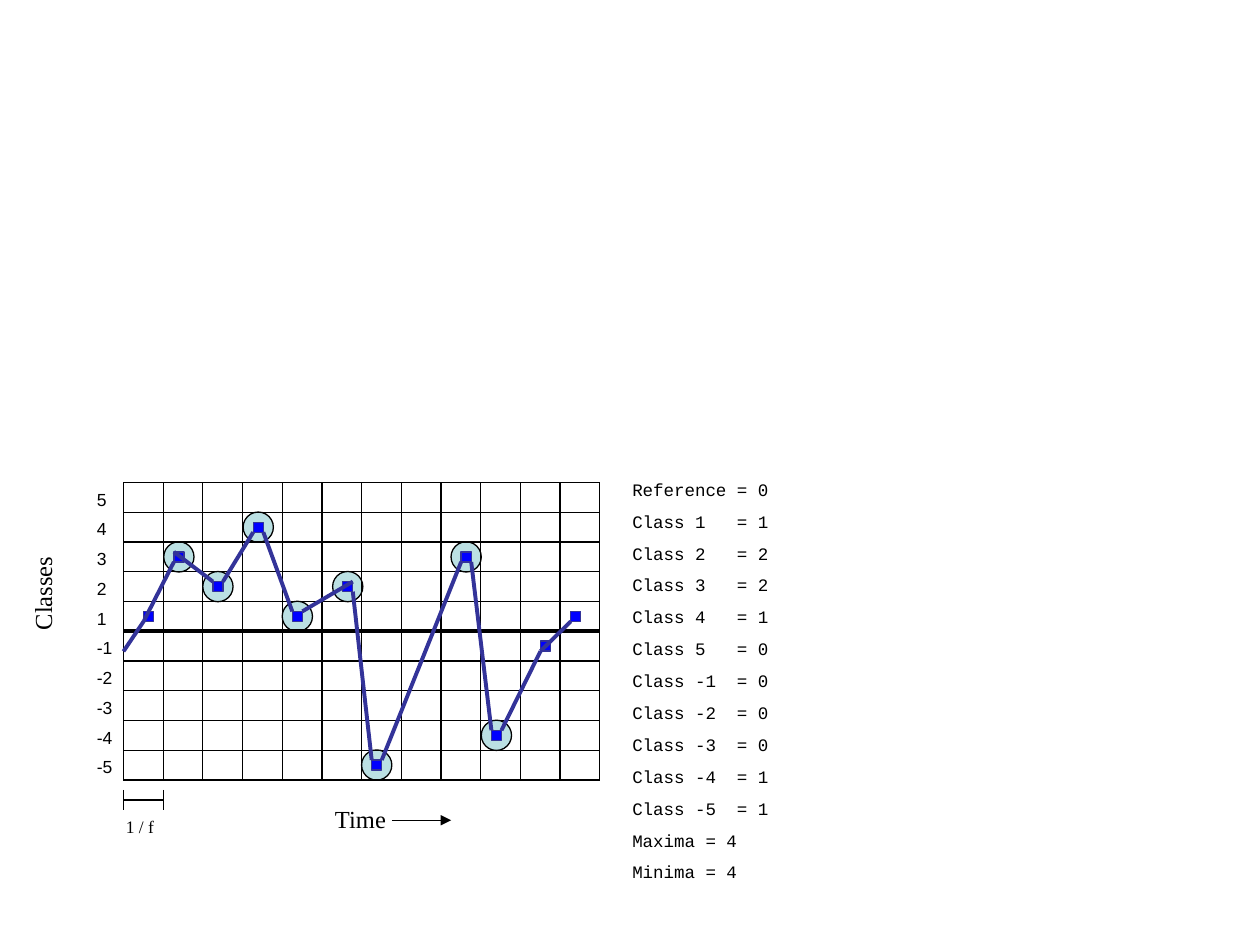
from lxml import etree
from pptx import Presentation
from pptx.dml.color import RGBColor
from pptx.enum.shapes import MSO_CONNECTOR, MSO_SHAPE
from pptx.enum.text import MSO_AUTO_SIZE, PP_ALIGN
from pptx.oxml.ns import qn
from pptx.util import Inches, Pt

STRAIGHT = MSO_CONNECTOR.STRAIGHT
OVAL = MSO_SHAPE.OVAL
RECTANGLE = MSO_SHAPE.RECTANGLE
FIT_SHAPE = MSO_AUTO_SIZE.SHAPE_TO_FIT_TEXT
CENTER = PP_ALIGN.CENTER

BLACK = RGBColor(0x00, 0x00, 0x00)
PALE_TEAL = RGBColor(0xBB, 0xE0, 0xE3)
BLUE = RGBColor(0x00, 0x00, 0xFF)
INDIGO = RGBColor(0x33, 0x33, 0x99)

CLASSES = [5, 4, 3, 2, 1, -1, -2, -3, -4, -5]
SAMPLES = [
    (1.18, 1), (1.42, 3), (1.73, 2), (2.05, 4), (2.36, 1), (2.76, 2),
    (2.99, -5), (3.70, 3), (3.94, -4), (4.33, -1), (4.57, 1),
]
TURNING_POINTS = SAMPLES[1:9]
SEGMENT_CORNERS = [
    ((-1, 1), (-1, 1)), ((-1, -1), (-1, -1)), ((1, -1), (-1, 1)),
    ((1, 1), (-1, -1)), ((1, -1), (1, -1)), ((1, 1), (-1, -1)),
    ((1, -1), (-1, 1)), ((1, 1), (-1, -1)), ((1, -1), (-1, 1)),
    ((-1, 1), (-1, 1)),
]
COUNTS = [
    "Reference = 0", "Class 1\t= 1", "Class 2\t= 2", "Class 3\t= 2",
    "Class 4\t= 1", "Class 5\t= 0", "Class -1\t= 0", "Class -2\t= 0",
    "Class -3\t= 0", "Class -4\t= 1", "Class -5\t= 1",
    "Maxima = 4", "Minima = 4",
]

LEFT, TOP, RIGHT, BOTTOM = 0.98, 3.83, 4.76, 6.19
COLUMNS = 12
COLUMN_WIDTH = (RIGHT - LEFT) / COLUMNS
ROW_HEIGHT = (BOTTOM - TOP) / len(CLASSES)
ZERO_ROW = 5
CIRCLE, MARKER = 0.24, 0.08
SCALE_Y, TICK = 6.35, 0.08

LABEL = {"size": Pt(10), "name": "Arial"}
CAPTION = {"size": Pt(10), "name": "Times New Roman"}
AXIS_TITLE = {"size": Pt(14), "name": "Times New Roman"}
LISTING = {"size": Pt(10), "name": "Courier New"}


def row_top(row):
    return TOP + row * ROW_HEIGHT


def center(sample):
    x, level = sample
    return x, row_top(CLASSES.index(level) + 0.5)


def corner(sample, side):
    x, y = center(sample)
    return x + side[0] * MARKER / 2, y + side[1] * MARKER / 2


def add_line(slide, start, end, color=BLACK, width=0.75, arrow=False):
    line = slide.shapes.add_connector(
        STRAIGHT, *[Inches(value) for value in (*start, *end)])
    line.line.color.rgb = color
    line.line.width = Pt(width)
    properties = line.element.spPr
    if arrow:
        etree.SubElement(properties.find(qn("a:ln")), qn("a:tailEnd"), type="triangle")
    etree.SubElement(properties, qn("a:effectLst"))


def add_point(slide, kind, sample, size, fill, outline):
    x, y = center(sample)
    shape = slide.shapes.add_shape(
        kind, Inches(x - size / 2), Inches(y - size / 2), Inches(size), Inches(size))
    shape.shadow.inherit = False
    shape.fill.solid()
    shape.fill.fore_color.rgb = fill
    shape.line.color.rgb = outline
    shape.line.width = Pt(0.75)


def add_text(slide, lines, box, style, wrap=True, tab=None, gap=0):
    shape = slide.shapes.add_textbox(*[Inches(value) for value in box])
    frame = shape.text_frame
    frame.word_wrap = wrap
    frame.auto_size = FIT_SHAPE
    for index, text in enumerate(lines):
        paragraph = frame.add_paragraph() if index else frame.paragraphs[0]
        paragraph.text = text
        if tab:
            stops = etree.SubElement(
                paragraph._p.get_or_add_pPr(), qn("a:tabLst"))
            etree.SubElement(stops, qn("a:tab"), pos=str(Inches(tab)), algn="l")
        if index and gap:
            paragraph.space_before = Pt(gap)
        paragraph.font.color.rgb = BLACK
        for name, value in style.items():
            setattr(paragraph.font, name, value)
    return shape


def add_grid(slide):
    for row in range(len(CLASSES) + 1):
        y = row_top(row)
        add_line(slide, (LEFT, y), (RIGHT, y), width=2.25 if row == ZERO_ROW else 0.75)
    for column in range(COLUMNS + 1):
        x = LEFT + column * COLUMN_WIDTH
        add_line(slide, (x, BOTTOM), (x, TOP))
    for row, level in enumerate(CLASSES):
        add_text(slide, [str(level)], (0.67, row_top(row), 0.39, 0.27), LABEL)


def add_axes(slide):
    title = add_text(slide, ["Classes"], (-0.16, 4.54, 1.00, 0.34), AXIS_TITLE)
    title.text_frame.paragraphs[0].alignment = CENTER
    title.rotation = 270
    add_text(slide, ["Time"], (2.56, 6.33, 0.61, 0.34), AXIS_TITLE, wrap=False)
    add_line(slide, (3.11, 6.51), (3.58, 6.51), arrow=True)
    scale_end = LEFT + COLUMN_WIDTH
    add_line(slide, (LEFT, SCALE_Y), (scale_end, SCALE_Y))
    for x in (LEFT, scale_end):
        add_line(slide, (x, SCALE_Y - TICK), (x, SCALE_Y + TICK))
    add_text(slide, ["1 / f"], (0.90, 6.43, 0.49, 0.27), CAPTION)


def add_signal(slide):
    add_line(slide, (LEFT, 5.17), corner(SAMPLES[0], (-1, 1)), INDIGO, 2.25)
    for sample in SAMPLES:
        add_point(slide, RECTANGLE, sample, MARKER, BLUE, INDIGO)
    for start, end, sides in zip(SAMPLES, SAMPLES[1:], SEGMENT_CORNERS):
        add_line(slide, corner(start, sides[0]), corner(end, sides[1]), INDIGO, 2.25)


def main():
    presentation = Presentation()
    presentation.slide_width = Inches(10)
    presentation.slide_height = Inches(7.5)
    slide = presentation.slides.add_slide(presentation.slide_layouts[6])
    for sample in TURNING_POINTS:
        add_point(slide, OVAL, sample, CIRCLE, PALE_TEAL, BLACK)
    add_grid(slide)
    add_axes(slide)
    add_text(slide, COUNTS, (4.92, 3.75, 1.42, 3.31), LISTING, tab=0.83, gap=6.2)
    add_signal(slide)
    presentation.save("out.pptx")


if __name__ == "__main__":
    main()
